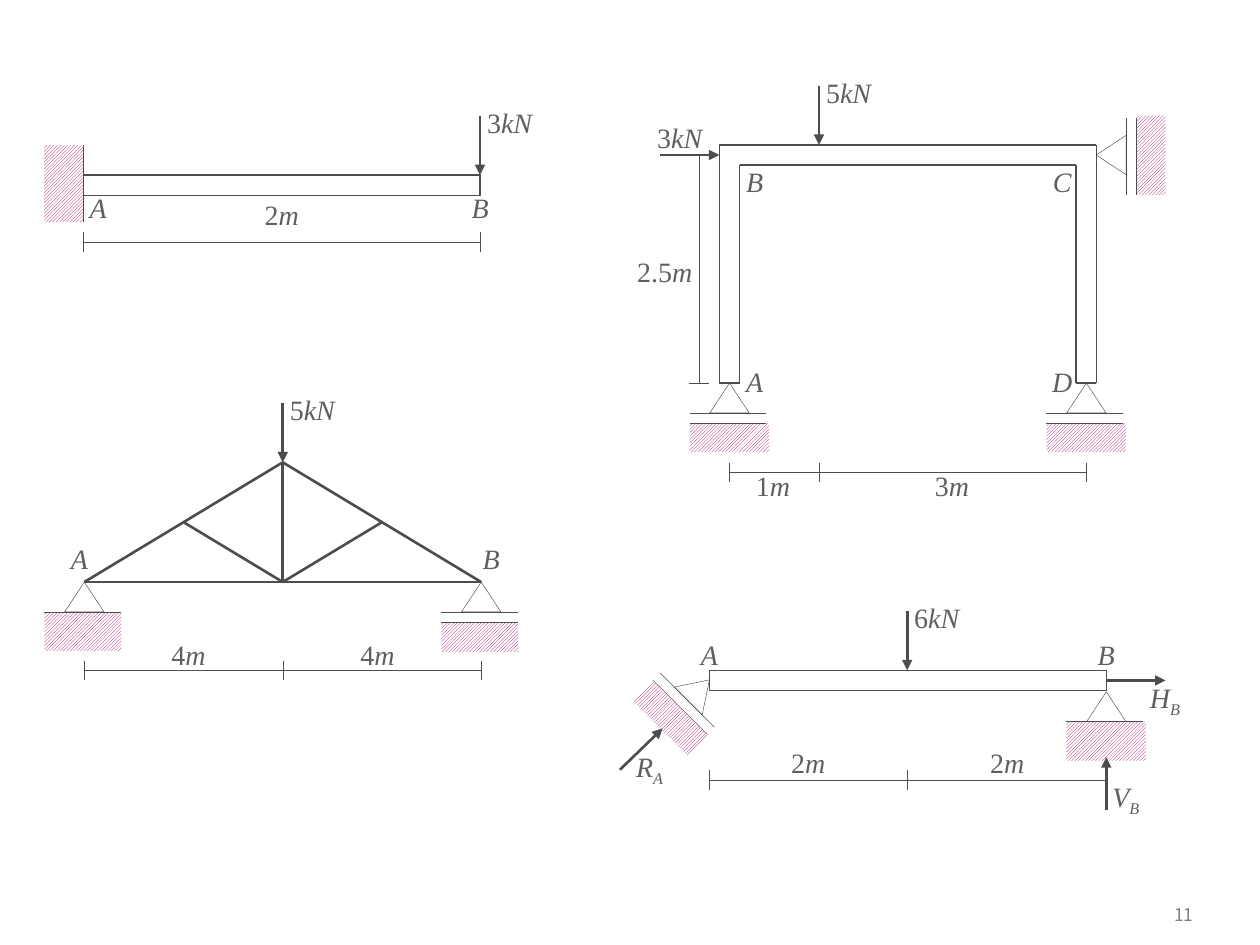
from math import cos, radians, sin

from lxml import etree
from pptx import Presentation
from pptx.dml.color import RGBColor
from pptx.enum.dml import MSO_PATTERN
from pptx.enum.shapes import MSO_CONNECTOR, MSO_SHAPE
from pptx.enum.text import MSO_ANCHOR, PP_ALIGN
from pptx.oxml.ns import qn
from pptx.util import Pt

STRAIGHT = MSO_CONNECTOR.STRAIGHT
RECTANGLE, TRIANGLE = MSO_SHAPE.RECTANGLE, MSO_SHAPE.ISOSCELES_TRIANGLE
HATCH = MSO_PATTERN.LIGHT_UPWARD_DIAGONAL
CENTER, RIGHT, MIDDLE = PP_ALIGN.CENTER, PP_ALIGN.RIGHT, MSO_ANCHOR.MIDDLE

THEME = {
    "ink": RGBColor(0x4D, 0x4D, 0x4D), "label": RGBColor(0x5F, 0x5F, 0x5F),
    "hatch": RGBColor(0xA9, 0x01, 0x65), "paper": RGBColor(0xFF, 0xFF, 0xFF),
    "number": RGBColor(0x80, 0x80, 0x80),
    "label_font": "Times New Roman", "label_size": 16,
    "number_font": "Noto Sans CJK KR", "number_size": 10,
    "thin": 0.25, "medium": 0.75, "thick": 1.5,
}

# Content, all lengths in points
# beams: left, top | outline: corners | members and loads: start, end
# supports: pin, turn, kind, hatch width, hatch depth
# dimensions: direction, level, tick positions
# labels: left, top, width, upright text, italic text, subscript
CANTILEVER = {
    "beams": [(47.5, 100.1)],
    "supports": [((47.5, 105.8), 90, "wall", 43.9, 22.3)],
    "dimensions": [("across", 138.2, (47.5, 274.3))],
    "loads": [((274.3, 66.2), (274.3, 100.1))],
    "labels": [(149.8, 113, 22.3, "2", "m", ""), (274.3, 60.5, 33.8, "3", "kN", ""),
               (47.5, 108.7, 17.3, "", "A", ""), (268.6, 108.7, 11.5, "", "B", "")],
}
FRAME = {
    "outline": [(411.1, 82.8), (626.4, 82.8), (626.4, 218.9), (614.9, 218.9),
                (614.9, 94.3), (422.6, 94.3), (422.6, 218.9), (411.1, 218.9)],
    "supports": [((416.9, 218.9), 0, "roller", 45.4, 16.6),
                 ((620.8, 218.9), 0, "roller", 45.4, 16.6),
                 ((626.4, 88.6), 270, "roller", 45.4, 16.6)],
    "dimensions": [("across", 270, (416.9, 468, 620.6)), ("down", 399.6, (88.6, 218.9))],
    "loads": [((468, 49), (468, 82.8)), ((377.3, 88.6), (411.1, 88.6))],
    "labels": [(468, 43.2, 33.8, "5", "kN", ""), (371.5, 69.1, 33.8, "3", "kN", ""),
               (427.7, 267.8, 28.1, "1", "m", ""), (529.9, 267.8, 28.1, "3", "m", ""),
               (360, 145.4, 39.6, "2.5", "m", ""),
               (422.6, 208.1, 17.3, "", "A", ""), (422.6, 94.3, 17.3, "", "B", ""),
               (598.3, 94.3, 17.3, "", "C", ""), (598.3, 208.1, 17.3, "", "D", "")],
}
INCLINED_SUPPORT = {
    "beams": [(405.4, 383)],
    "supports": [((405.4, 388.5), 45, "roller", 45.4, 16.6),
                 ((632.2, 395.3), 0, "pin", 45.4, 22.3)],
    "dimensions": [("across", 445.7, (405.4, 518.6, 632.2))],
    "loads": [((518.4, 349.2), (518.4, 383)), ((354.2, 439.9), (378.7, 416.2)),
              ((632.2, 463), (632.2, 432.7)), ((632.2, 388.8), (666, 388.8))],
    "labels": [(445, 426.2, 33.8, "2", "m", ""), (558.7, 426.2, 33.8, "2", "m", ""),
               (518.4, 343.4, 33.8, "6", "kN", ""),
               (399.6, 364.3, 11.5, "", "A", ""), (626.4, 364.3, 11.5, "", "B", ""),
               (654.5, 388.8, 22.3, "", "H", "B"), (632.2, 445.7, 22.3, "", "V", "B"),
               (360, 428.4, 22.3, "", "R", "A")],
}
LEFT, RIDGE, MIDSPAN, END = (48.2, 332.6), (161.6, 264.2), (161.6, 332.6), (275, 332.6)
TRUSS = {
    "members": [(RIDGE, LEFT), (END, LEFT), (RIDGE, MIDSPAN), (RIDGE, END),
                ((104.9, 298.4), MIDSPAN), ((218.3, 298.4), MIDSPAN)],
    "supports": [(LEFT, 0, "pin", 43.9, 22.3), (END, 0, "roller", 43.9, 17.1)],
    "dimensions": [("across", 383.2, (48.2, 161.6, 275))],
    "loads": [((161.6, 230.4), RIDGE)],
    "labels": [(161.6, 224.6, 33.8, "5", "kN", ""),
               (93.6, 364.3, 28.1, "4", "m", ""), (201.6, 364.3, 28.1, "4", "m", ""),
               (36.7, 309.6, 17.3, "", "A", ""), (275, 309.6, 11.5, "", "B", "")],
}
FIGURES = [CANTILEVER, FRAME, INCLINED_SUPPORT, TRUSS]

BEAM_LENGTH, BEAM_DEPTH = 226.8, 11.5
TRIANGLE_WIDTH, TRIANGLE_HEIGHT = 22.5, 17.1
GROUND_START, GROUND_LENGTH = -22.8, 43.9
GROUND_LEVELS = {"wall": [0], "pin": [TRIANGLE_HEIGHT], "roller": [TRIANGLE_HEIGHT, 22.9]}
TICK, LABEL_HEIGHT = 5.6, 19.4


def add_line(shapes, start, end, weight="thin", arrow=False):
    line = shapes.add_connector(STRAIGHT, *(Pt(value) for value in (*start, *end)))
    line.line.color.rgb = THEME["ink"]
    line.line.width = Pt(THEME[weight])
    if arrow:
        etree.SubElement(line.line._get_or_add_ln(), qn("a:tailEnd"), type="triangle")
    etree.SubElement(line._element.spPr, qn("a:effectLst"))


def add_outline(shapes, kind, left, top, width, height, weight="thin"):
    shape = shapes.add_shape(kind, Pt(left), Pt(top), Pt(width), Pt(height))
    shape.shadow.inherit = False
    shape.fill.background()
    shape.line.color.rgb = THEME["ink"]
    shape.line.width = Pt(THEME[weight])
    return shape


def add_support(shapes, pin, turn, kind, hatch_width, hatch_depth):
    """Local axes: u along the ground, v from the pin into the ground."""
    c, s = cos(radians(turn)), sin(radians(turn))

    def place(u, v):
        return pin[0] + u * c - v * s, pin[1] + u * s + v * c

    def add_turned(form, u, v, width, height):
        x, y = place(u, v)
        shape = add_outline(shapes, form, x - width / 2, y - height / 2, width, height)
        shape.rotation = turn
        return shape

    levels = GROUND_LEVELS[kind]
    ground = add_turned(RECTANGLE, GROUND_START + hatch_width / 2,
                        levels[-1] + hatch_depth / 2, hatch_width, hatch_depth)
    ground.line.fill.background()
    ground.fill.patterned()
    ground.fill.pattern = HATCH
    ground.fill.fore_color.rgb = THEME["hatch"]
    ground.fill.back_color.rgb = THEME["paper"]
    for level in levels:
        add_line(shapes, place(GROUND_START, level),
                 place(GROUND_START + GROUND_LENGTH, level))
    if kind != "wall":
        add_turned(TRIANGLE, 0, TRIANGLE_HEIGHT / 2, TRIANGLE_WIDTH, TRIANGLE_HEIGHT)


def add_dimension(shapes, direction, level, ticks):
    def point(along, offset=0):
        pair = (along, level + offset)
        return pair if direction == "across" else pair[::-1]

    add_line(shapes, point(ticks[0]), point(ticks[-1]))
    for tick in ticks:
        add_line(shapes, point(tick, -TICK), point(tick, TICK))


def add_label(shapes, left, top, width, upright, italic, subscript):
    box = shapes.add_textbox(Pt(left), Pt(top), Pt(width), Pt(LABEL_HEIGHT))
    frame = box.text_frame
    frame.word_wrap = True
    frame.margin_left = frame.margin_right = frame.margin_top = frame.margin_bottom = 0
    para = frame.paragraphs[0]
    para.alignment = CENTER
    para.font.name, para.font.size = THEME["label_font"], Pt(THEME["label_size"])
    para.font.color.rgb = THEME["label"]
    for text, slanted, baseline in ((upright, False, 0), (italic, True, 0),
                                    (subscript, True, -25000)):
        if text:
            span = para.add_run()
            span.text = text
            span.font.italic = slanted
            if baseline:
                span._r.get_or_add_rPr().set("baseline", str(baseline))


deck = Presentation()
deck.slide_width, deck.slide_height = Pt(720), Pt(540)
page = deck.slides.add_slide(deck.slide_layouts[6])

# Figures, one group each
for figure in FIGURES:
    shapes = page.shapes.add_group_shape().shapes
    for left, top in figure.get("beams", []):
        add_outline(shapes, RECTANGLE, left, top, BEAM_LENGTH, BEAM_DEPTH, "medium")
    corners = figure.get("outline", [])
    for start, end in zip(corners, corners[1:] + corners[:1]):
        add_line(shapes, start, end, "medium")
    for start, end in figure.get("members", []):
        add_line(shapes, start, end, "thick")
    for support in figure["supports"]:
        add_support(shapes, *support)
    for dimension in figure["dimensions"]:
        add_dimension(shapes, *dimension)
    for start, end in figure["loads"]:
        add_line(shapes, start, end, "thick", arrow=True)
    for label in figure["labels"]:
        add_label(shapes, *label)

# Page number
box = page.shapes.add_textbox(Pt(637.9), Pt(510.5), Pt(51.1), Pt(23.8))
box.text_frame.word_wrap = True
box.text_frame.vertical_anchor = MIDDLE
para = box.text_frame.paragraphs[0]
para.text = "11"
para.alignment = RIGHT
para.font.name, para.font.size = THEME["number_font"], Pt(THEME["number_size"])
para.font.color.rgb = THEME["number"]

deck.save("out.pptx")
